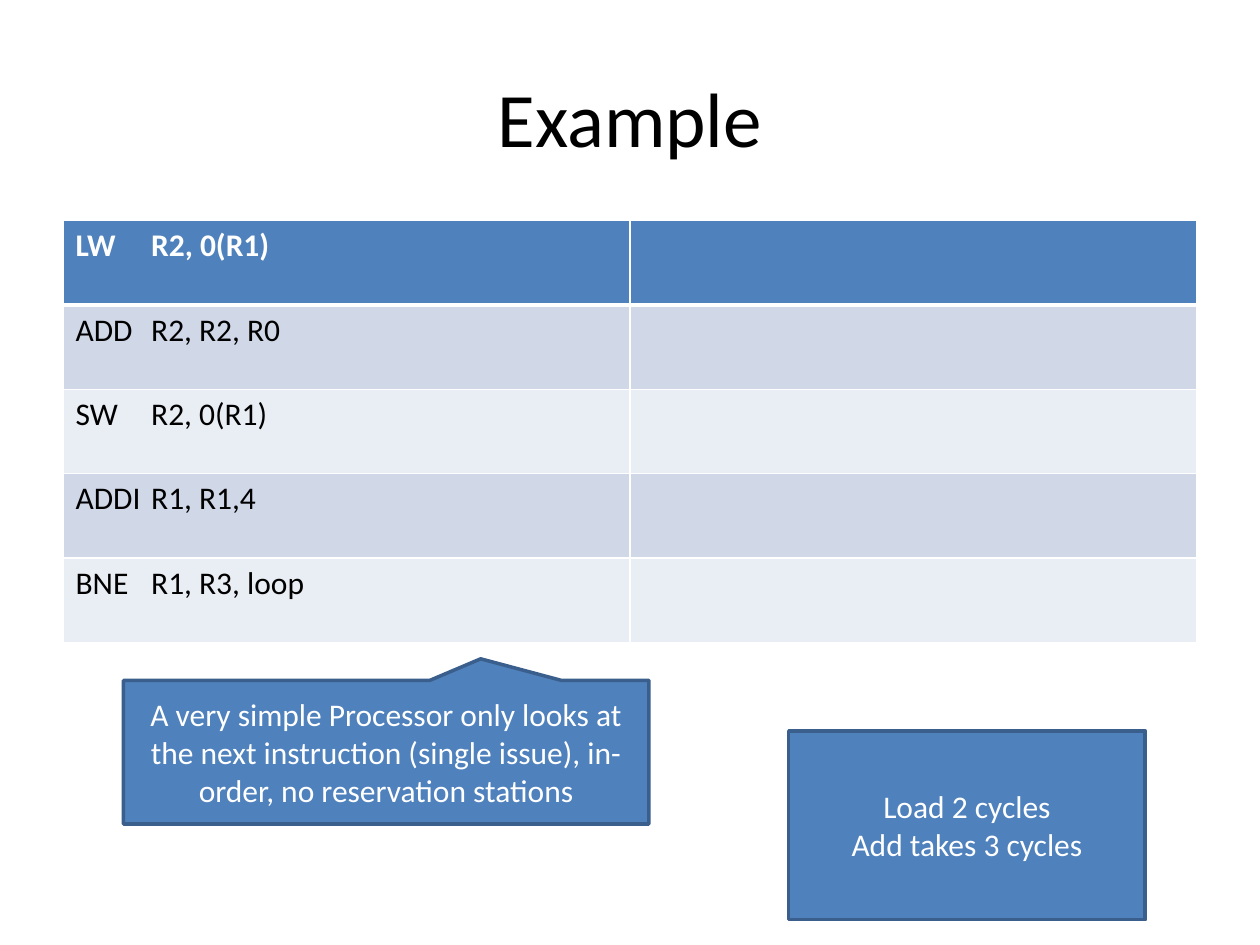
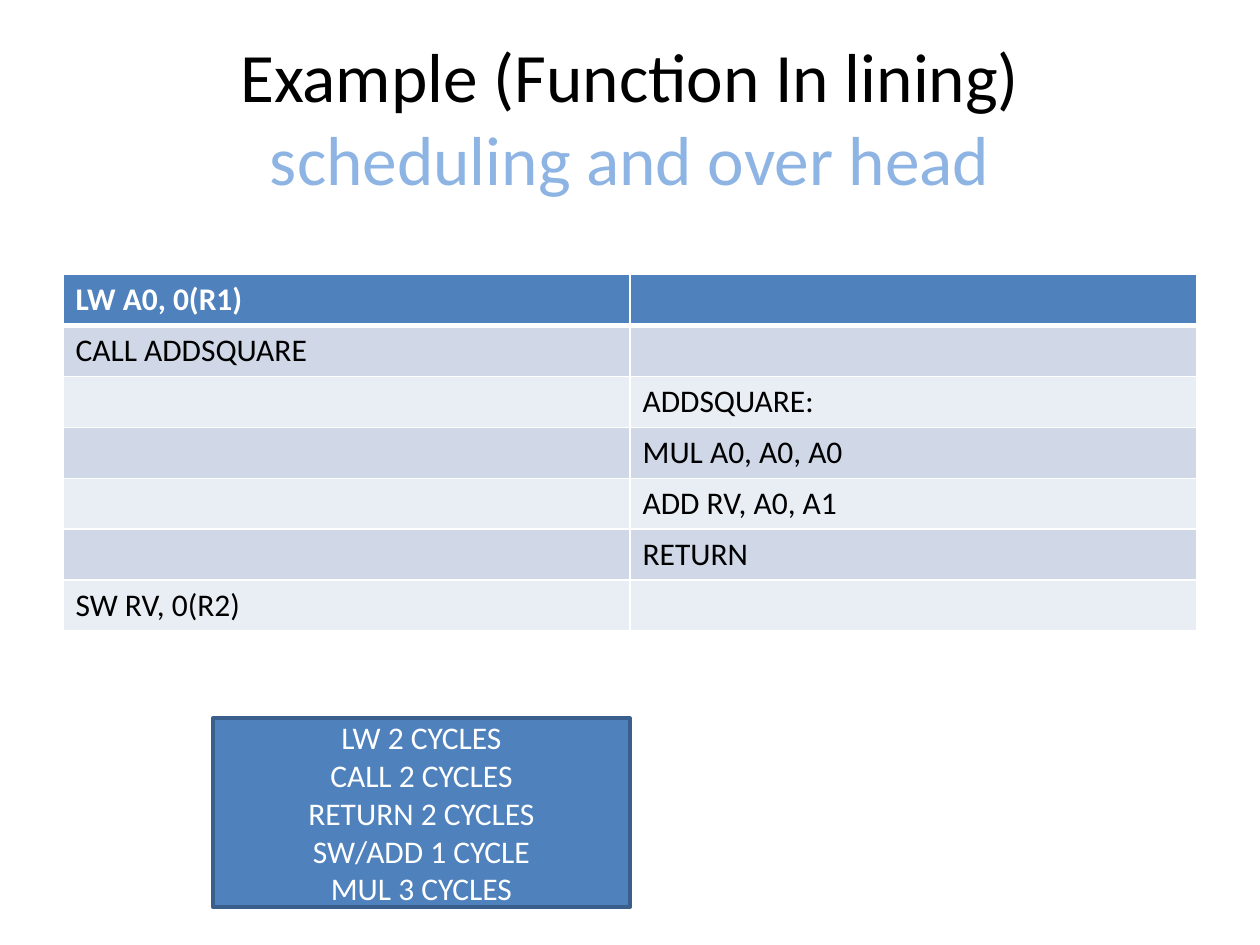
from pptx import Presentation
from pptx import util as u
from pptx.dml.color import RGBColor
from pptx.enum import shapes, text
from pptx.oxml import parse_xml
from pptx.oxml.ns import nsdecls

FONT = "Calibri"
BLACK, WHITE = "000000", "FFFFFF"
BLUE, EDGE, SKY = "4F81BD", "3A5F8C", "8EB4E3"
BANDS = ("E9EDF4", "D0D8E8")


def color(code):
    return RGBColor.from_string(code)


def border(side, width):
    return parse_xml(
        f'<a:{side} {nsdecls("a")} w="{u.Pt(width)}"><a:solidFill>'
        f'<a:srgbClr val="{WHITE}"/></a:solidFill></a:{side}>')


class Deck:
    def __init__(self):
        self.prs = Presentation()
        self.prs.slide_width = u.Inches(10)
        self.prs.slide_height = u.Inches(7.5)
        self.slide = None

    def page(self):
        self.slide = self.prs.slides.add_slide(self.prs.slide_layouts[6])

    def style(self, run, size, code, bold=False):
        font = run.font
        font.name, font.size, font.bold = FONT, u.Pt(size), bold
        font.color.rgb = color(code)

    def title(self, lines, size):
        box = self.slide.shapes.add_textbox(*map(u.Inches, (0.5, 0.3, 9, 1.25)))
        frame = box.text_frame
        frame.word_wrap = True
        frame.vertical_anchor = text.MSO_ANCHOR.MIDDLE
        para = frame.paragraphs[0]
        para.text = "\v".join(lines)
        para.alignment = text.PP_ALIGN.CENTER
        for run, code in zip(para.runs, (BLACK, SKY)):
            self.style(run, size, code)

    def table(self, top, height, rows):
        shape = self.slide.shapes.add_table(
            len(rows), 2, *map(u.Inches, (0.5, top, 9, height * len(rows))))
        grid = shape.table
        grid.horz_banding = False
        for i, row in enumerate(rows):
            grid.rows[i].height = u.Inches(height)
            for j, words in enumerate(row):
                self.cell(grid.cell(i, j), words, i)

    def cell(self, cell, words, row):
        head = row == 0
        # Borders go before the fill; the header has a thick lower edge
        props = cell._tc.get_or_add_tcPr()
        for side in ("lnL", "lnR", "lnT", "lnB"):
            thick = head and side == "lnB" or row == 1 and side == "lnT"
            props.append(border(side, 3 if thick else 1))
        cell.fill.solid()
        cell.fill.fore_color.rgb = color(BLUE if head else BANDS[row % 2])

        # Operands line up at a tab stop
        para = cell.text_frame.paragraphs[0]
        para.text = words
        if "\t" in words:
            para._p.get_or_add_pPr().append(parse_xml(
                f'<a:tabLst {nsdecls("a")}>'
                f'<a:tab pos="{u.Inches(0.6)}" algn="l"/></a:tabLst>'))
        if not words:
            para.font.size = u.Pt(18)
        for run in para.runs:
            self.style(run, 18, WHITE if head else BLACK, head)

    def note(self, kind, place, lines):
        shape = self.slide.shapes.add_shape(kind, *map(u.Inches, place))
        shape.shadow.inherit = False
        shape.fill.solid()
        shape.fill.fore_color.rgb = color(BLUE)
        shape.line.color.rgb = color(EDGE)
        shape.line.width = u.Pt(2)
        frame = shape.text_frame
        frame.word_wrap = True
        frame.vertical_anchor = text.MSO_ANCHOR.MIDDLE
        frame.text = "\n".join(lines)
        for para in frame.paragraphs:
            para.alignment = text.PP_ALIGN.CENTER
            for run in para.runs:
                self.style(run, 18, WHITE)
        return shape


def main():
    deck = Deck()
    kind = shapes.MSO_SHAPE

    # Simple processor
    deck.page()
    deck.title(["Example"], 44)
    deck.table(1.75, 0.67, [
        ("LW\tR2, 0(R1)", ""),
        ("ADD\tR2, R2, R0", ""),
        ("SW\tR2, 0(R1)", ""),
        ("ADDI\tR1, R1,4", ""),
        ("BNE\tR1, R3, loop", ""),
    ])
    deck.note(kind.RECTANGLE, (6.26, 5.8, 2.83, 1.5),
              ["Load 2 cycles", "Add takes 3 cycles"])
    call = deck.note(kind.RECTANGULAR_CALLOUT, (0.98, 5.4, 4.17, 1.14), [
        "A very simple Processor only looks at the next instruction "
        "(single issue), in-order, no reservation stations"])
    call.adjustments[0], call.adjustments[1] = 0.18, -0.65

    # Function inlining
    deck.page()
    deck.title(["Example (Function In lining)", "scheduling and over head"], 39.6)
    deck.table(2.18, 0.404, [
        ("LW A0, 0(R1)", ""),
        ("CALL ADDSQUARE", ""),
        ("", "ADDSQUARE:"),
        ("", "MUL A0, A0, A0"),
        ("", "ADD RV, A0, A1"),
        ("", "RETURN"),
        ("SW RV, 0(R2)", ""),
    ])
    deck.note(kind.RECTANGLE, (1.69, 5.7, 3.31, 1.5), [
        "LW 2 CYCLES", "CALL 2 CYCLES", "RETURN 2 CYCLES",
        "SW/ADD 1 CYCLE", "MUL 3 CYCLES"])

    deck.prs.save("out.pptx")


if __name__ == "__main__":
    main()
